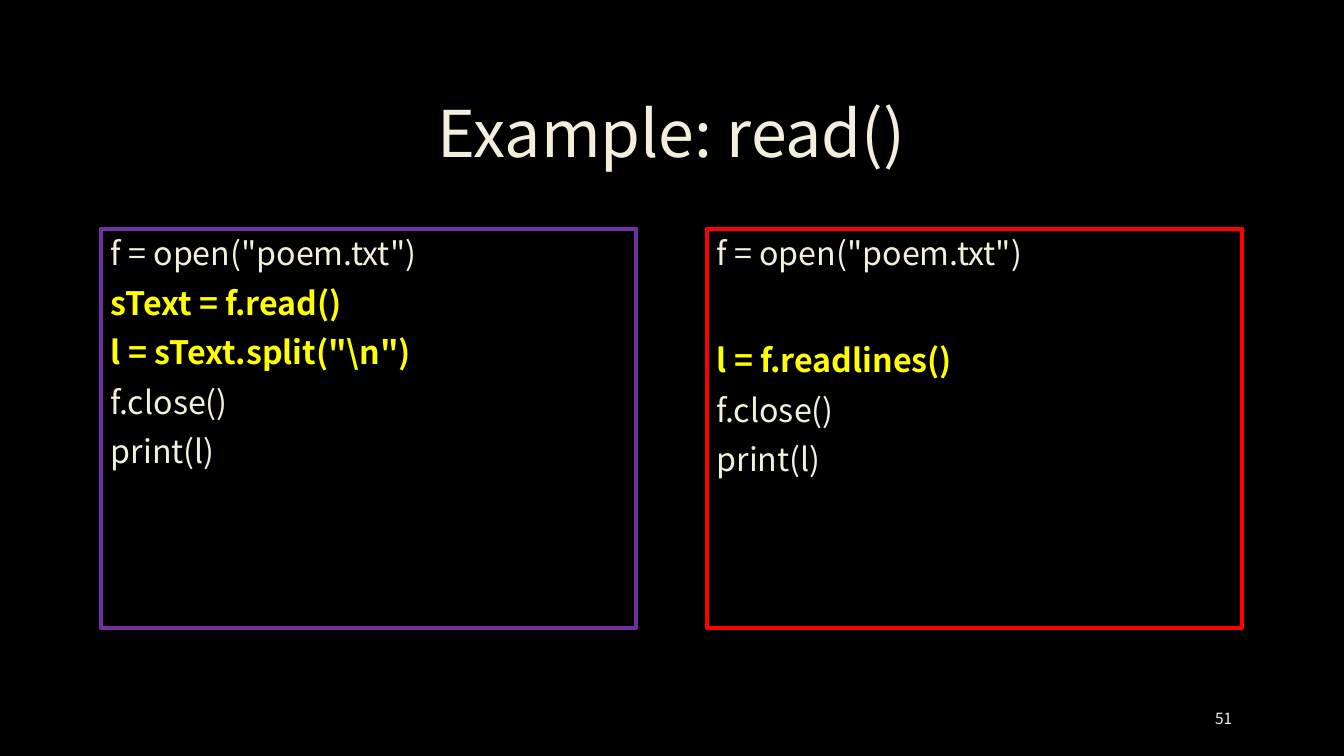
from dataclasses import dataclass

from pptx import Presentation
from pptx.dml.color import RGBColor
from pptx.enum.shapes import MSO_SHAPE
from pptx.enum.text import MSO_ANCHOR, PP_ALIGN
from pptx.slide import Slide
from pptx.text.text import _Paragraph
from pptx.util import Inches, Pt

BLACK = RGBColor(0x00, 0x00, 0x00)
CREAM = RGBColor(0xF4, 0xEE, 0xDC)
YELLOW = RGBColor(0xFF, 0xFF, 0x00)
PALE_GRAY = RGBColor(0xF2, 0xF2, 0xF2)
PURPLE = RGBColor(0x70, 0x30, 0xA0)
RED = RGBColor(0xFF, 0x00, 0x00)

FONT = "Noto Sans CJK KR"
CODE_SIZE = 23
LINE_GAP = 7.7
SKIPPED_LINE = 41


@dataclass(frozen=True)
class CodeLine:
    text: str
    highlighted: bool = False
    space_before: float = 0


@dataclass(frozen=True)
class CodePanel:
    left: float
    border: RGBColor
    lines: tuple[CodeLine, ...]


@dataclass(frozen=True)
class Label:
    text: str
    left: float
    top: float
    width: float
    height: float
    size: float
    color: RGBColor
    align: PP_ALIGN
    line_spacing: float = 1.0


OPENING = CodeLine('f = open("poem.txt")')
ENDING = (CodeLine("f.close()"), CodeLine("print(l)"))

PANELS = (
    CodePanel(1, PURPLE, (
        OPENING,
        CodeLine("sText = f.read()", True),
        CodeLine('l = sText.split("\\n")', True),
        *ENDING,
    )),
    CodePanel(7.01, RED, (
        OPENING,
        CodeLine("l = f.readlines()", True, SKIPPED_LINE),
        *ENDING,
    )),
)

LABELS = (
    Label("Example: read()", 1, 0.67, 11.32, 1.38, 46, CREAM, PP_ALIGN.CENTER, 0.9),
    Label("51", 11.5, 6.93, 0.82, 0.4, 11, PALE_GRAY, PP_ALIGN.RIGHT),
)


def add_text(paragraph: _Paragraph, text: str, size: float, color: RGBColor,
             bold: bool = False) -> None:
    run = paragraph.add_run()
    run.text = text
    run.font.name = FONT
    run.font.size = Pt(size)
    run.font.bold = bold
    run.font.color.rgb = color


def draw_label(slide: Slide, label: Label) -> None:
    box = slide.shapes.add_textbox(
        Inches(label.left), Inches(label.top), Inches(label.width), Inches(label.height))
    frame = box.text_frame
    frame.word_wrap = True
    frame.vertical_anchor = MSO_ANCHOR.MIDDLE
    paragraph = frame.paragraphs[0]
    paragraph.alignment = label.align
    paragraph.line_spacing = label.line_spacing
    add_text(paragraph, label.text, label.size, label.color)


def draw_panel(slide: Slide, panel: CodePanel) -> None:
    rectangle = slide.shapes.add_shape(
        MSO_SHAPE.RECTANGLE, Inches(panel.left), Inches(2.27), Inches(5.31), Inches(3.96))
    rectangle.shadow.inherit = False
    rectangle.fill.background()
    rectangle.line.color.rgb = panel.border
    rectangle.line.width = Pt(3)
    frame = rectangle.text_frame
    frame.word_wrap = True
    frame.vertical_anchor = MSO_ANCHOR.TOP
    for index, line in enumerate(panel.lines):
        paragraph = frame.add_paragraph() if index else frame.paragraphs[0]
        paragraph.alignment = PP_ALIGN.LEFT
        paragraph.line_spacing = 1.0
        paragraph.space_after = Pt(LINE_GAP)
        if line.space_before:
            paragraph.space_before = Pt(line.space_before)
        color = YELLOW if line.highlighted else CREAM
        add_text(paragraph, line.text, CODE_SIZE, color, line.highlighted)


def main() -> None:
    presentation = Presentation()
    presentation.slide_width = Inches(13.33)
    presentation.slide_height = Inches(7.5)
    slide = presentation.slides.add_slide(presentation.slide_layouts[6])
    slide.background.fill.solid()
    slide.background.fill.fore_color.rgb = BLACK
    for panel in PANELS:
        draw_panel(slide, panel)
    for label in LABELS:
        draw_label(slide, label)
    presentation.save("out.pptx")


if __name__ == "__main__":
    main()
